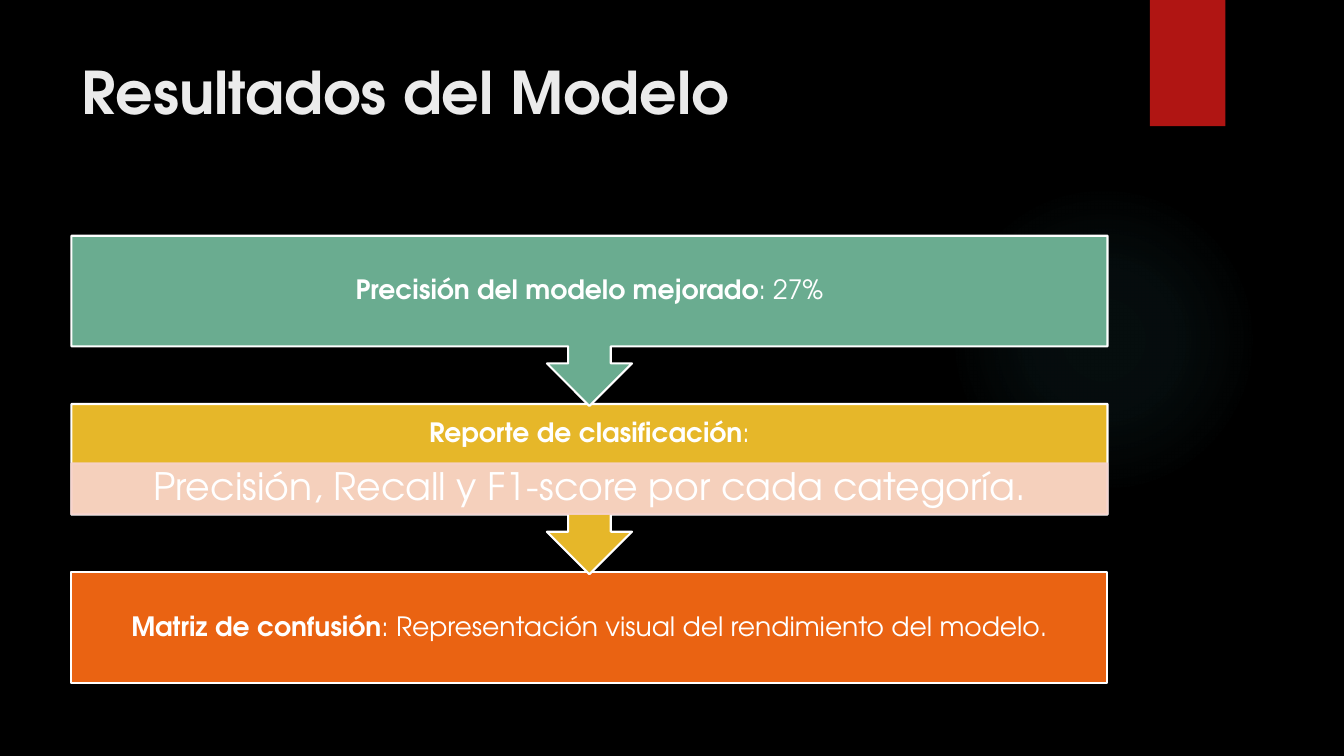
from lxml import etree
from pptx import Presentation
from pptx import util as u
from pptx.dml.color import RGBColor
from pptx.enum import shapes, text
from pptx.oxml import ns, parse_xml

FONT = "TeX Gyre Adventor"
WHITE = "FFFFFF"
LEFT, WIDTH = 1.8, 26.11
FIRST_TOP, PITCH = 5.94, 4.24
BOX_HEIGHT, CALLOUT_HEIGHT = 2.79, 4.29
HEADING_HEIGHT, DETAIL_HEIGHT = 1.5, 1.27


def paint(color_format, color):
    """Set a colour format from a hex string."""
    color_format.rgb = RGBColor.from_string(color)


def set_all(target, values):
    """Set attributes of a target from a dict."""
    for name, value in values.items():
        setattr(target, name, value)


def cm_box(*lengths):
    """Turn centimetres into lengths."""
    return [u.Cm(length) for length in lengths]


def add_block(slide, preset, box, fill=None, line=None, alpha=None, rotation=0):
    """Add a preset shape with flat fill and optional outline."""
    block = slide.shapes.add_shape(preset, *cm_box(*box))
    block.shadow.inherit = False
    block.rotation = rotation
    if fill:
        block.fill.solid()
        paint(block.fill.fore_color, fill)
    if line:
        paint(block.line.color, line)
        block.line.width = u.Pt(1.5)
    else:
        block.line.fill.background()
    if alpha:
        for color in block._element.spPr.iter(ns.qn("a:srgbClr")):
            etree.SubElement(color, ns.qn("a:alpha"), val=str(alpha * 1000))
    return block


def add_glow(slide, box, color, stops):
    """Add a circle that fades out from its centre."""
    glow = add_block(slide, shapes.MSO_SHAPE.OVAL, box)
    stop_xml = "".join(
        f'<a:gs pos="{position * 1000}"><a:srgbClr val="{color}">'
        f'<a:alpha val="{alpha * 1000}"/></a:srgbClr></a:gs>'
        for position, alpha in stops)
    gradient = parse_xml(
        f'<a:gradFill {ns.nsdecls("a")}><a:gsLst>{stop_xml}</a:gsLst>'
        '<a:path path="circle"><a:fillToRect l="50000" t="50000" r="50000" b="50000"/>'
        '</a:path></a:gradFill>')
    glow._element.spPr.find(ns.qn("a:prstGeom")).addnext(gradient)


def write_run(paragraph, words, size, bold, color=WHITE):
    """Add a formatted run to a paragraph."""
    run = paragraph.add_run()
    run.text = words
    set_all(run.font, {"name": FONT, "size": u.Pt(size), "bold": bold})
    paint(run.font.color, color)


def add_label(slide, box, runs, size=19, inset=(0.38, 0.38)):
    """Add centred text made of (words, bold) runs."""
    frame = slide.shapes.add_textbox(*cm_box(*box)).text_frame
    side, edge = cm_box(*inset)
    set_all(frame, {"word_wrap": True, "vertical_anchor": text.MSO_ANCHOR.MIDDLE,
                    "margin_left": side, "margin_right": side,
                    "margin_top": edge, "margin_bottom": edge})
    paragraph = frame.paragraphs[0]
    set_all(paragraph, {"alignment": text.PP_ALIGN.CENTER, "line_spacing": 0.9,
                        "space_after": u.Pt(size * 0.35)})
    for words, bold in runs:
        write_run(paragraph, words, size, bold)


def add_title(slide, words):
    """Place and fill the title placeholder."""
    title = slide.shapes.title
    left, top, width, height = cm_box(LEFT, 1.27, 26.14, 3.89)
    set_all(title, {"left": left, "top": top, "width": width, "height": height})
    set_all(title.text_frame, {"word_wrap": True, "vertical_anchor": text.MSO_ANCHOR.TOP})
    paragraph = title.text_frame.paragraphs[0]
    paragraph.alignment = text.PP_ALIGN.LEFT
    write_run(paragraph, words, 42, True, "EBEBEB")


def main():
    """Build the slide of model results."""
    deck = Presentation()
    set_all(deck, {"slide_width": u.Cm(33.87), "slide_height": u.Cm(19.05)})
    slide = deck.slides.add_slide(deck.slide_layouts[5])
    slide.background.fill.solid()
    paint(slide.background.fill.fore_color, "000000")

    preset = shapes.MSO_SHAPE
    add_glow(slide, (23.9, 4.65, 7.82, 7.82), "50B9C1", [(0, 7), (36, 6), (69, 0)])
    add_block(slide, preset.RECTANGLE, (28.98, 0, 1.9, 3.18), "B01513")
    add_title(slide, "Resultados del Modelo")

    accuracy_top, report_top, matrix_top = (FIRST_TOP + PITCH * step for step in range(3))
    detail_box = (LEFT, report_top + HEADING_HEIGHT, WIDTH, DETAIL_HEIGHT)

    add_block(slide, preset.RECTANGLE, (LEFT, matrix_top, WIDTH, BOX_HEIGHT), "EA6312", WHITE)
    for top, color in ((report_top, "E6B729"), (accuracy_top, "6AAC90")):
        add_block(slide, preset.UP_ARROW_CALLOUT, (LEFT, top, WIDTH, CALLOUT_HEIGHT),
                  color, WHITE, rotation=180)
    add_block(slide, preset.RECTANGLE, detail_box, "F7D3CC", "F7D3CC", alpha=90)

    for top, height, heading, rest in (
            (accuracy_top, BOX_HEIGHT, "Precisión del modelo mejorado", ": 27%"),
            (report_top, HEADING_HEIGHT, "Reporte de clasificación", ":"),
            (matrix_top, BOX_HEIGHT, "Matriz de confusión",
             ": Representación visual del rendimiento del modelo.")):
        add_label(slide, (LEFT, top, WIDTH, height), [(heading, True), (rest, False)])
    add_label(slide, detail_box, [("Precisión, Recall y F1-score por cada categoría.", False)],
              size=27, inset=(0.53, 0.1))

    deck.save("out.pptx")


if __name__ == "__main__":
    main()
